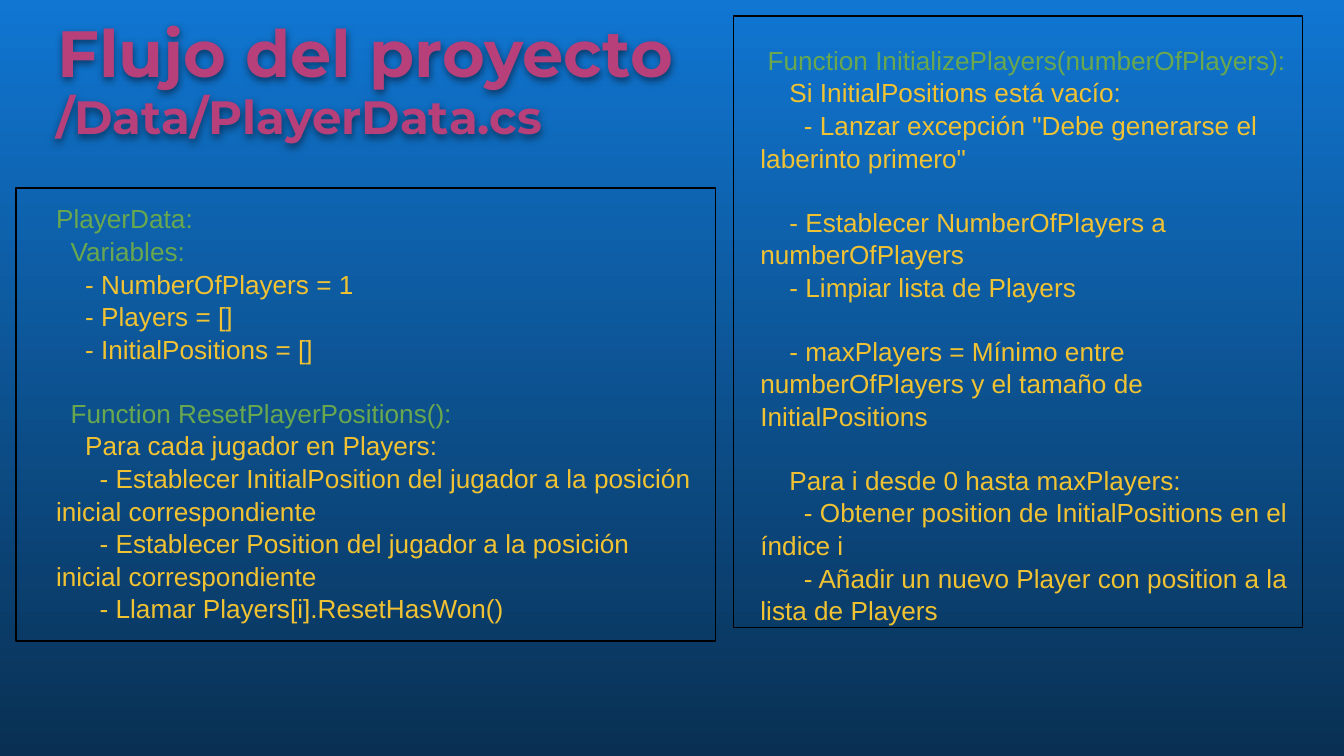
from dataclasses import dataclass

from lxml.etree import SubElement
from pptx import Presentation
from pptx.dml.color import RGBColor as Rgb
from pptx.enum.shapes import MSO_SHAPE as Shape
from pptx.enum.text import MSO_ANCHOR as Anchor, PP_ALIGN as Align
from pptx.oxml.ns import qn
from pptx.util import Pt


@dataclass(frozen=True)
class Theme:
    top: Rgb = Rgb.from_string("1076D2")
    base: Rgb = Rgb.from_string("093053")
    title: Rgb = Rgb.from_string("B8407A")
    head: Rgb = Rgb.from_string("6AA84F")
    step: Rgb = Rgb.from_string("F1C232")
    line: Rgb = Rgb.from_string("000000")
    title_font: str = "Montserrat"
    code_font: str = "Arial"
    title_size: float = 35
    sub_size: float = 25
    code_size: float = 14
    pad: float = 7.2
    space: float = 3.89
    gap: float = 16.8
    lead: float = 1.04


THEME = Theme()

# Each line: indent in spaces, text. Each inner list is one block.
DATA = [
    [
        (0, "PlayerData:"),
        (2, "Variables:"),
        (4, "- NumberOfPlayers = 1"),
        (4, "- Players = []"),
        (4, "- InitialPositions = []"),
    ],
    [
        (2, "Function ResetPlayerPositions():"),
        (4, "Para cada jugador en Players:"),
        (6, "- Establecer InitialPosition del jugador a la posición inicial correspondiente"),
        (6, "- Establecer Position del jugador a la posición inicial correspondiente"),
        (6, "- Llamar Players[i].ResetHasWon()"),
    ],
]
SETUP = [
    [
        (1, "Function InitializePlayers(numberOfPlayers):"),
        (4, "Si InitialPositions está vacío:"),
        (6, '- Lanzar excepción "Debe generarse el laberinto primero"'),
    ],
    [
        (4, "- Establecer NumberOfPlayers a numberOfPlayers"),
        (4, "- Limpiar lista de Players"),
    ],
    [(4, "- maxPlayers = Mínimo entre numberOfPlayers y el tamaño de InitialPositions")],
    [
        (4, "Para i desde 0 hasta maxPlayers:"),
        (6, "- Obtener position de InitialPositions en el índice i"),
        (6, "- Añadir un nuevo Player con position a la lista de Players"),
    ],
]


def add_text(slide, box):
    shape = slide.shapes.add_textbox(*map(Pt, box))
    frame = shape.text_frame
    frame.word_wrap = True
    frame.margin_left = frame.margin_right = Pt(THEME.pad)
    frame.margin_top = frame.margin_bottom = Pt(THEME.pad)
    return shape


def set_font(para, name, size, color, bold=False):
    font = para.font
    font.name, font.size, font.bold = name, Pt(size), bold
    font.color.rgb = color


def add_glow(shape):
    """Add a soft shadow below the text of an unfilled box."""
    effects = SubElement(shape._element.spPr, qn("a:effectLst"))
    shadow = SubElement(effects, qn("a:outerShdw"), blurRad=str(Pt(4.5)),
                        dist=str(Pt(1.5)), dir="5400000",
                        algn="bl", rotWithShape="0")
    color = SubElement(shadow, qn("a:srgbClr"), val=str(THEME.line))
    SubElement(color, qn("a:alpha"), val="50000")


def add_title(slide, box, text, size, align):
    shape = add_text(slide, box)
    frame = shape.text_frame
    frame.vertical_anchor = Anchor.BOTTOM
    para = frame.paragraphs[0]
    para.text, para.alignment = text, align
    set_font(para, THEME.title_font, size, THEME.title, True)
    add_glow(shape)


def add_panel(slide, box, blocks, inset):
    """Draw a frame and its code; inset is the text box's left and top offset."""
    left, top, width, height = box
    dx, dy = inset
    frame = add_text(slide, (left + dx, top + dy, width - dx, height - dy)).text_frame
    para = None
    for block in blocks:
        for row, (depth, text) in enumerate(block):
            new = para is not None
            para = frame.add_paragraph() if new else frame.paragraphs[0]
            para.text = text
            para.line_spacing = THEME.lead
            para.space_before = Pt(THEME.gap if new and row == 0 else 0)
            props = para._p.get_or_add_pPr()
            props.set("marL", "0")
            props.set("indent", str(Pt(depth * THEME.space)))
            head = text.startswith(("PlayerData", "Variables", "Function"))
            set_font(para, THEME.code_font, THEME.code_size,
                     THEME.head if head else THEME.step)

    border = slide.shapes.add_shape(Shape.RECTANGLE, *map(Pt, box))
    border.shadow.inherit = False
    border.fill.background()
    border.line.color.rgb = THEME.line
    border.line.width = Pt(0.75)


def paint(slide):
    fill = slide.background.fill
    fill.gradient()
    fill.gradient_angle = 270
    for stop, color in zip(fill.gradient_stops, (THEME.top, THEME.base)):
        stop.color.rgb = color


def main():
    deck = Presentation()
    deck.slide_width, deck.slide_height = Pt(720), Pt(405)
    slide = deck.slides.add_slide(deck.slide_layouts[6])
    paint(slide)
    add_title(slide, (-16, -41, 423.4, 96.5), "Flujo del proyecto",
              THEME.title_size, Align.CENTER)
    add_title(slide, (23, 0, 360.7, 84.2), "/Data/PlayerData.cs",
              THEME.sub_size, Align.LEFT)
    add_panel(slide, (8.6, 100.8, 374.8, 242.6), DATA, (14.4, 0))
    add_panel(slide, (393.1, 8.6, 304.6, 327.6), SETUP, (7.2, 7.2))
    deck.save("out.pptx")


if __name__ == "__main__":
    main()
